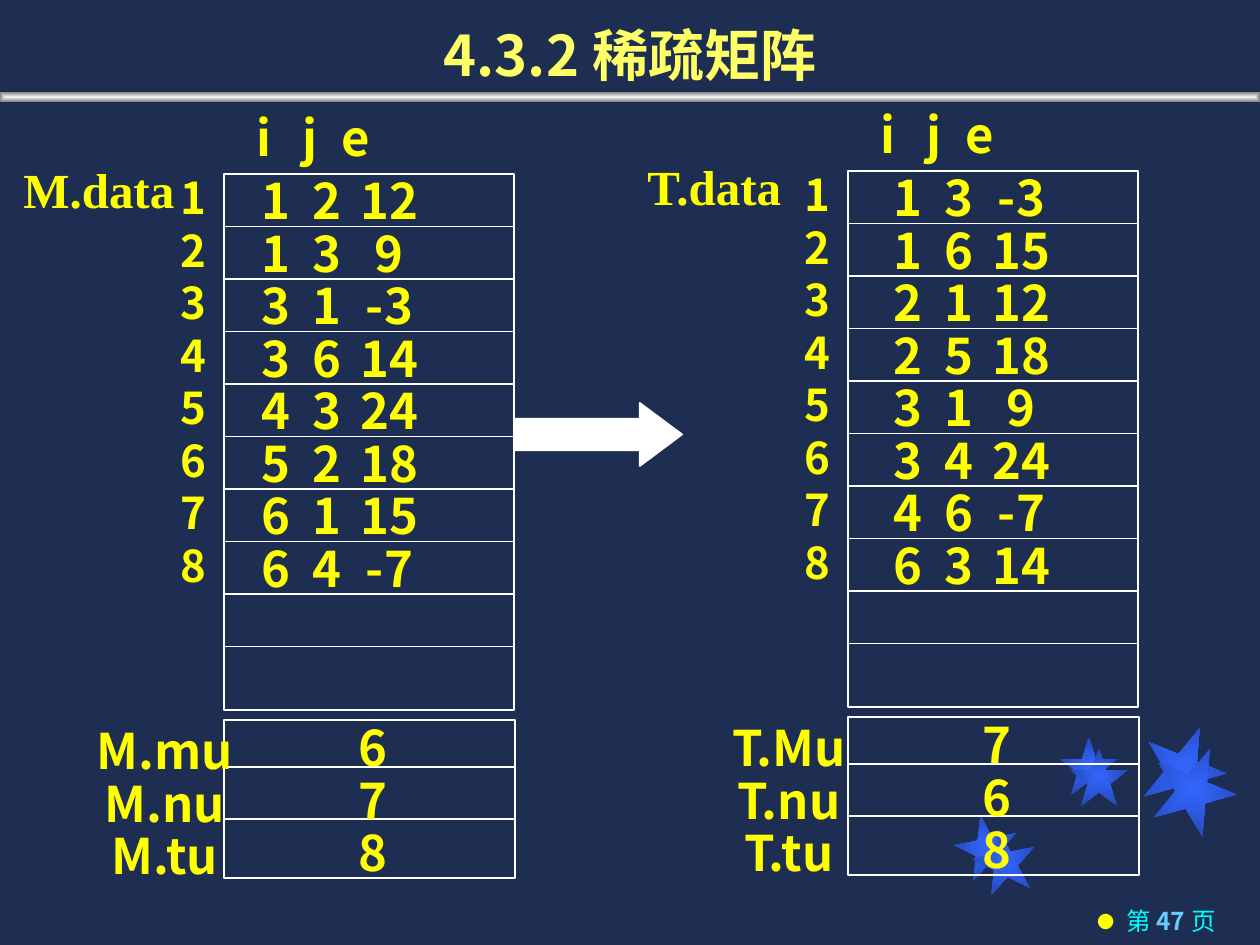
from lxml import etree
from pptx import Presentation
from pptx import util as u
from pptx.dml.color import RGBColor
from pptx.enum import shapes, text
from pptx.oxml.ns import qn

PX = 914400 / 126
SANS, SERIF = "Noto Sans CJK SC", "Times New Roman"
YELLOW, WHITE = "FFFF00", "FFFFFF"
LEFT, CENTER, RIGHT = text.PP_ALIGN.LEFT, text.PP_ALIGN.CENTER, text.PP_ALIGN.RIGHT
ROW = 52.5

TITLE = "4.3.2 稀疏矩阵"
PAGE = [("第 ", "00FFFF", False), ("47 ", "66CCFF", True), ("页", "00FFFF", False)]
HEADER = ("i", "j", "e")
MATRICES = [
    {"name": "M.data", "origin": (224, 174), "row_indent": 25,
     "triples": [(1, 2, 12), (1, 3, 9), (3, 1, -3), (3, 6, 14),
                 (4, 3, 24), (5, 2, 18), (6, 1, 15), (6, 4, -7)],
     "totals": [("M.mu", 6), ("M.nu", 7), ("M.tu", 8)]},
    {"name": "T.data", "origin": (848, 171), "row_indent": 33,
     "triples": [(1, 3, -3), (1, 6, 15), (2, 1, 12), (2, 5, 18),
                 (3, 1, 9), (3, 4, 24), (4, 6, -7), (6, 3, 14)],
     "totals": [("T.Mu", 7), ("T.nu", 6), ("T.tu", 8)]},
]
# left, top, size, rotation
STARS = [(955, 815, 63, 349), (1060, 737, 58, 0), (1142, 725, 84, 22),
         (973, 829, 63, 349), (1070, 748, 58, 0), (1152, 746, 84, 22)]


def emu(*lengths):
    return [u.Emu(round(n * PX)) for n in lengths]


def rgb(color):
    return RGBColor.from_string(color)


def child(parent, tag, **attributes):
    return etree.SubElement(parent, qn(tag), attributes)


def add_shape(kind, *box, line=None):
    shape = slide.shapes.add_shape(kind, *emu(*box))
    shape.shadow.inherit = False
    shape.fill.background()
    if line:
        shape.line.color.rgb = rgb(line)
        shape.line.width = u.Pt(1)
    else:
        shape.line.fill.background()
    return shape


def fill_from_center(shape, inner, outer):
    shape.fill.gradient()
    for stop, color in zip(shape.fill.gradient_stops, (inner, outer)):
        stop.color.rgb = rgb(color)
    gradient = shape._element.spPr.find(qn("a:gradFill"))
    gradient.remove(gradient.find(qn("a:lin")))
    path = child(gradient, "a:path", path="shape")
    child(path, "a:fillToRect", l="50000", t="50000", r="50000", b="50000")


def add_rule(left, right, y):
    rule = slide.shapes.add_connector(shapes.MSO_CONNECTOR.STRAIGHT, *emu(left, y, right, y))
    rule.line.color.rgb = rgb(WHITE)
    rule.line.width = u.Pt(1)
    child(rule._element.spPr, "a:effectLst")


def style(font, size, color, bold=True, face=SANS):
    font.size, font.bold, font.name = u.Pt(size), bold, face
    font.color.rgb = rgb(color)
    child(font._element, "a:ea", typeface=face)


def add_box(*box, anchor=text.MSO_ANCHOR.TOP):
    frame = slide.shapes.add_textbox(*emu(*box)).text_frame
    frame.word_wrap = True
    frame.vertical_anchor = anchor
    return frame


def add_lines(lines, *box, size=28, pitch=34, align=LEFT, face=SERIF, tabs=()):
    """Write one paragraph per line; tabs are (offset in px, alignment) pairs."""
    frame = add_box(*box)
    for n, line in enumerate(lines):
        paragraph = frame.add_paragraph() if n else frame.paragraphs[0]
        paragraph.text = str(line)
        paragraph.alignment = align
        paragraph.line_spacing = u.Pt(pitch)
        if tabs:
            tab_list = child(paragraph._p.get_or_add_pPr(), "a:tabLst")
            for offset, side in tabs:
                child(tab_list, "a:tab", pos=str(emu(offset)[0]), algn=side)
        style(paragraph.font, size, YELLOW, face=face)


def add_grid(left, top, width, height, rule_offsets):
    add_shape(shapes.MSO_SHAPE.RECTANGLE, left, top, width, height, line=WHITE)
    for offset in rule_offsets:
        add_rule(left, left + width, top + offset)


def add_matrix(name, origin, row_indent, triples, totals):
    left, top = origin
    add_lines(["\t".join(HEADER)], left + 20, top - 73, 244, 72, face=SANS,
              tabs=[(46, "l"), (85, "l")])
    add_grid(left, top, 290, 536, [ROW * n for n in range(1, 10)])
    add_lines(range(1, len(triples) + 1), left - 77, top - 9, 92, 543,
              size=25, pitch=30, align=CENTER, face=SANS)
    add_lines([name], left - 213, top - 21, 204, 72)
    for n, triple in enumerate(triples):
        add_lines(["\t".join(map(str, triple))], left + row_indent, top - 10 + ROW * n,
                  258, 72, face=SANS, tabs=[(51, "l"), (128, "ctr")])

    add_grid(left, top + 546, 291, 158, [47, 99])
    labels, values = zip(*totals)
    for lines, x, y, width in ((labels, -197, 547, 276), (values, 76, 544, 145)):
        add_lines(lines, left + x, top + y, width, 171, pitch=30, align=CENTER, face=SANS)


def add_title():
    frame = add_box(0, 0, 1260, 94, anchor=text.MSO_ANCHOR.BOTTOM)
    paragraph = frame.paragraphs[0]
    paragraph.text = TITLE
    paragraph.alignment = CENTER
    style(paragraph.font, 32, "FFFF66")


def add_page_number():
    paragraph = add_box(897, 900, 331, 45).paragraphs[0]
    paragraph.alignment = RIGHT
    properties = paragraph._p.get_or_add_pPr()
    hang = emu(29)[0]
    properties.set("marL", str(hang))
    properties.set("indent", str(-hang))
    child(child(properties, "a:buClr"), "a:srgbClr", val=YELLOW)
    child(properties, "a:buSzPct", val="70000")
    child(properties, "a:buFont", typeface=SANS)
    child(properties, "a:buChar", char="●")
    for words, color, bold in PAGE:
        run = paragraph.add_run()
        run.text = words
        style(run.font, 14, color, bold)


deck = Presentation()
deck.slide_width, deck.slide_height = emu(1260, 945)
slide = deck.slides.add_slide(deck.slide_layouts[6])
slide.background.fill.solid()
slide.background.fill.fore_color.rgb = rgb("1E2E53")

for x, y, size, rotation in STARS:
    star = add_shape(shapes.MSO_SHAPE.STAR_5_POINT, x, y, size, size)
    star.rotation = rotation
    fill_from_center(star, "3366FF", "2449B6")
title_bar = add_shape(shapes.MSO_SHAPE.RECTANGLE, 0, 92, 1260, 10)
fill_from_center(title_bar, "F2F2F2", "808080")
add_page_number()
add_title()
for matrix in MATRICES:
    add_matrix(**matrix)

arrow = add_shape(shapes.MSO_SHAPE.RIGHT_ARROW, 514, 403, 168, 63, line=WHITE)
arrow.adjustments[0], arrow.adjustments[1] = 0.5, 0.67
arrow.fill.solid()
arrow.fill.fore_color.rgb = rgb(WHITE)

deck.save("out.pptx")
